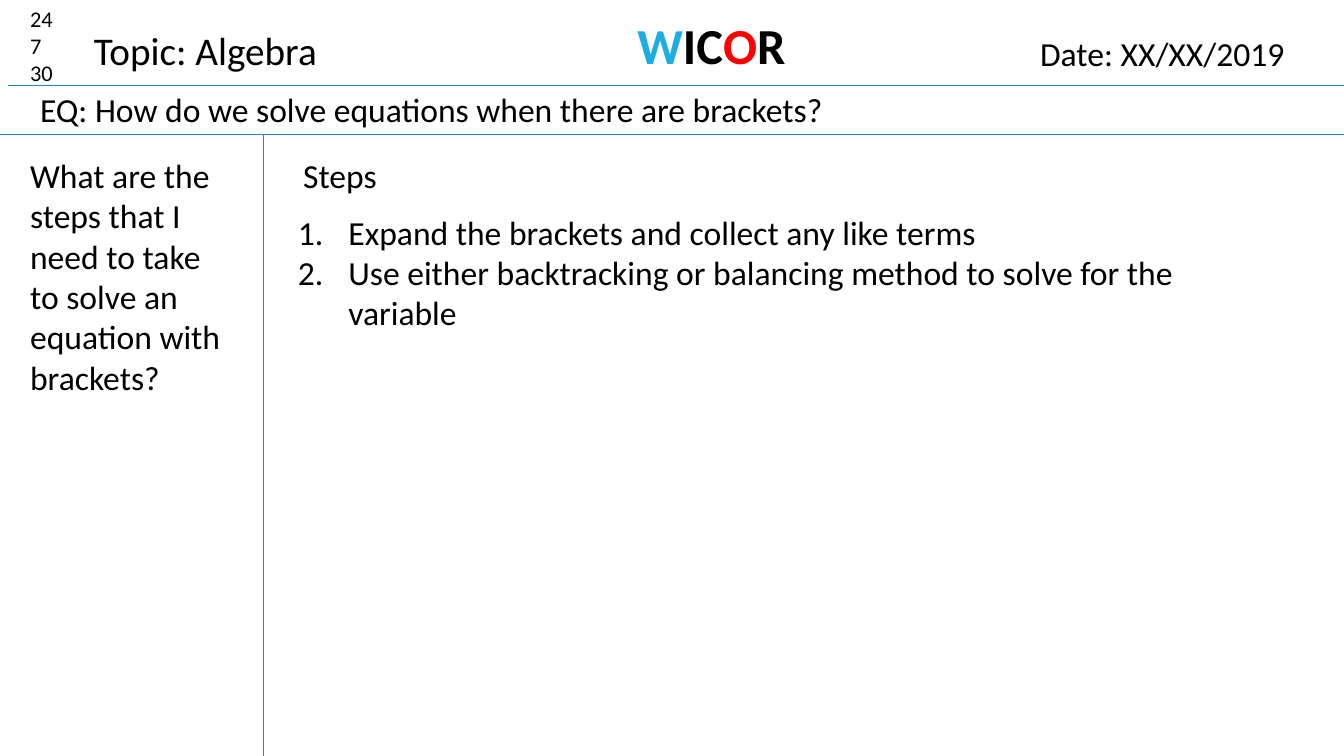
"""Build the algebra notes slide with its topic, question and solving steps."""
from lxml import etree
from pptx import Presentation
from pptx.dml.color import RGBColor
from pptx.enum.shapes import MSO_CONNECTOR
from pptx.enum.text import MSO_ANCHOR, PP_ALIGN
from pptx.oxml.ns import qn
from pptx.util import Cm, Pt

STRAIGHT = MSO_CONNECTOR.STRAIGHT
TOP = MSO_ANCHOR.TOP
LEFT = PP_ALIGN.LEFT
CENTER = PP_ALIGN.CENTER
TITLE_ONLY = 5
WIDTH, HEIGHT = 33.87, 19.05
RULE_TOP, RULE_BOTTOM, MARGIN_LINE = 2.16, 3.4, 6.63
BLACK = "000000"


def color(value):
    return RGBColor.from_string(value)


def write(box, place, lines, size, wrap=True):
    box.left, box.top, box.width, box.height = [Cm(length) for length in place]
    frame = box.text_frame
    frame.word_wrap = wrap
    frame.vertical_anchor = TOP
    frame.text = "\n".join(lines)
    for para in frame.paragraphs:
        para.alignment = LEFT
        para.font.name = "Calibri"
        para.font.size = Pt(size)
        para.font.color.rgb = color(BLACK)
    return frame


deck = Presentation()
deck.slide_width, deck.slide_height = Cm(WIDTH), Cm(HEIGHT)
page = deck.slides.add_slide(deck.slide_layouts[TITLE_ONLY])

rules = [
    (0.2, RULE_TOP, WIDTH, RULE_TOP),
    (0, RULE_BOTTOM, WIDTH, RULE_BOTTOM),
    (MARGIN_LINE, RULE_BOTTOM, MARGIN_LINE, HEIGHT),
]
for ends in rules:
    rule = page.shapes.add_connector(STRAIGHT, *[Cm(end) for end in ends])
    rule.line.color.rgb = color("2683C6")
    rule.line.width = Pt(0.75)
    etree.SubElement(rule._element.spPr, qn("a:effectLst"))

write(page.shapes.title, (2.11, 0.53, 6.27, 1.45), ["Topic: Algebra"], 28, wrap=False)

notes = [
    ((0.51, 0, 1.6, 2.31), ["24", "7", "30"], 16),
    ((25.96, 0.71, 7.29, 1.27), ["Date: XX/XX/2019"], 24),
    ((0.76, 2.11, 29.57, 1.27),
     ["EQ: How do we solve equations when there are brackets?"], 24),
    ((0.51, 3.78, 5.36, 6.4),
     ["What are the steps that I need to take to solve an equation with brackets?"], 24),
    ((7.39, 3.78, 23.95, 1.27), ["Steps"], 24),
]
for place, lines, size in notes:
    write(page.shapes.add_textbox(0, 0, 0, 0), place, lines, size)

heading = write(page.shapes.add_textbox(0, 0, 0, 0), (12.47, 0.23, 10.92, 1.8), [""], 36)
heading_para = heading.paragraphs[0]
heading_para.alignment = CENTER
heading_para.font.bold = True
for letters, shade in [("W", "1CADE4"), ("IC", BLACK), ("O", "FF0000"), ("R", BLACK)]:
    span = heading_para.add_run()
    span.text = letters
    span.font.color.rgb = color(shade)

steps = write(
    page.shapes.add_textbox(0, 0, 0, 0),
    (7.26, 5.21, 23.95, 3.33),
    ["Expand the brackets and collect any like terms",
     "Use either backtracking or balancing method to solve for the variable"],
    24,
)
for para in steps.paragraphs:
    properties = para._p.get_or_add_pPr()
    properties.set("marL", str(Cm(1.27)))
    properties.set("indent", str(-Cm(1.27)))
    number = etree.Element(qn("a:buAutoNum"), type="arabicPeriod")
    properties.insert(0, number)

deck.save("out.pptx")
